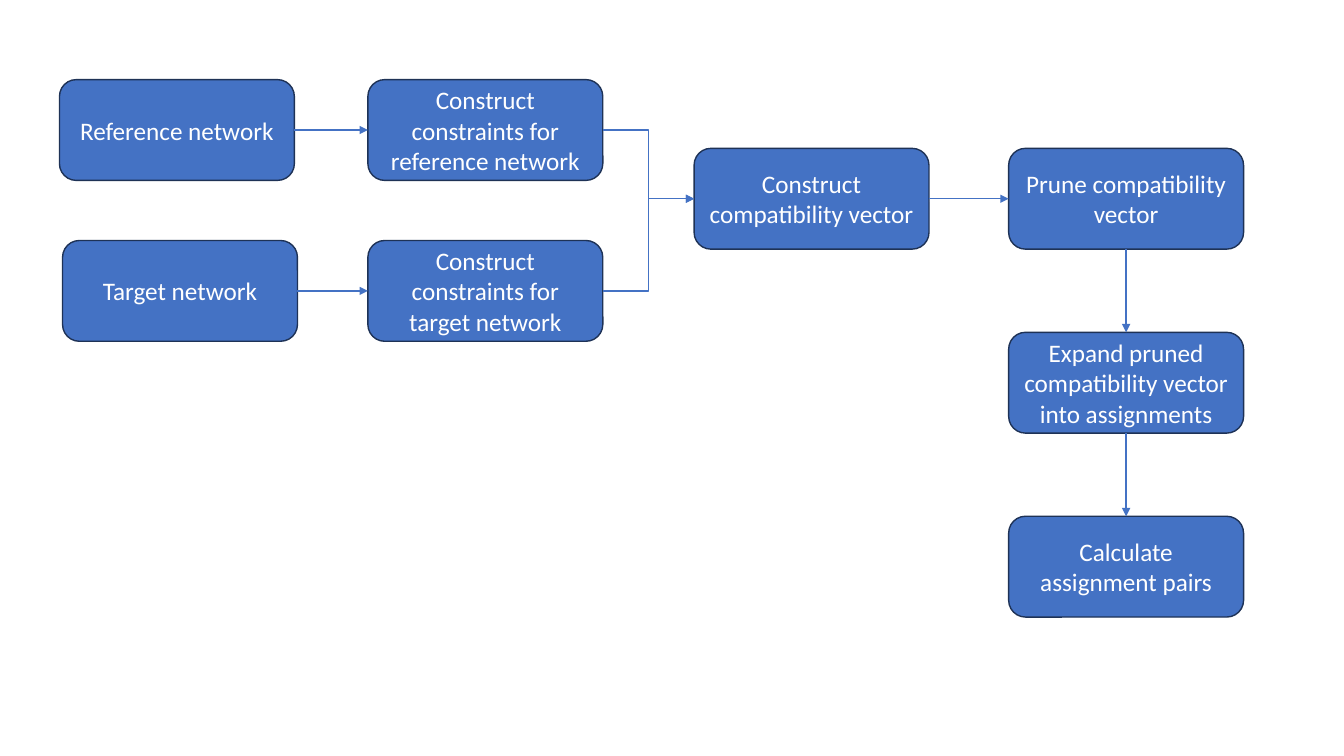
from lxml import etree
from pptx import Presentation
from pptx.dml.color import RGBColor
from pptx.enum.shapes import MSO_CONNECTOR as Connector, MSO_SHAPE as Shape
from pptx.enum.text import MSO_ANCHOR as Anchor, PP_ALIGN as Align
from pptx.oxml.ns import qn
from pptx.util import Pt

BLUE = RGBColor(0x44, 0x72, 0xC4)
NAVY = RGBColor(0x1E, 0x32, 0x56)
WHITE = RGBColor(0xFF, 0xFF, 0xFF)

STEP_WIDTH, STEP_HEIGHT = 167.8, 72
TOP, LEFT, BOTTOM, RIGHT = range(4)  # connection sites of a rounded rectangle


def write_text(box, text, *, size=18, color=WHITE, font="Calibri"):
    frame = box.text_frame
    frame.word_wrap = True
    frame.vertical_anchor = Anchor.MIDDLE
    para = frame.paragraphs[0]
    para.alignment = Align.CENTER
    span = para.add_run()
    span.text = text
    span.font.size = Pt(size)
    span.font.name = font
    span.font.color.rgb = color


def add_step(page, left, top, text):
    box = page.shapes.add_shape(Shape.ROUNDED_RECTANGLE, Pt(left), Pt(top),
                                Pt(STEP_WIDTH), Pt(STEP_HEIGHT))
    box.shadow.inherit = False
    box.fill.solid()
    box.fill.fore_color.rgb = BLUE
    box.line.color.rgb = NAVY
    box.line.width = Pt(1)
    write_text(box, text)
    return box


def add_arrow(page, start, end, kind=Connector.ELBOW, sites=(RIGHT, LEFT)):
    """Join two steps with an arrow glued to the given connection sites."""
    arrow = page.shapes.add_connector(kind, 0, 0, 0, 0)
    arrow.begin_connect(start, sites[0])
    arrow.end_connect(end, sites[1])
    arrow.line.color.rgb = BLUE
    arrow.line.width = Pt(1)
    etree.SubElement(arrow.line._get_or_add_ln(), qn("a:tailEnd"), type="triangle")
    etree.SubElement(arrow._element.spPr, qn("a:effectLst"))


def add_network_row(page, left, top, constraint_left, name):
    """Draw a network and its constraints; return the constraints step."""
    network = add_step(page, left, top, f"{name} network")
    constraints = add_step(page, constraint_left, top,
                           f"Construct constraints for {name.lower()} network")
    add_arrow(page, network, constraints)
    return constraints


def add_vector_column(page, left, top, pitch, texts):
    """Stack steps joined by downward arrows; return the first step."""
    steps = [add_step(page, left, top + row * pitch, text)
             for row, text in enumerate(texts)]
    for upper, lower in zip(steps, steps[1:]):
        add_arrow(page, upper, lower, Connector.STRAIGHT, (BOTTOM, TOP))
    return steps[0]


def main():
    deck = Presentation()
    deck.slide_width, deck.slide_height = Pt(960), Pt(540)
    page = deck.slides.add_slide(deck.slide_layouts[6])

    vector_top = 106
    reference = add_network_row(page, 42.5, 56.9, 262.8, "Reference")
    target = add_network_row(page, 44.7, 171.8, 262.8, "Target")
    compatibility = add_step(page, 495.8, vector_top, "Construct compatibility vector")
    prune = add_vector_column(page, 720.5, vector_top, 131.4, [
        "Prune compatibility vector",
        "Expand pruned compatibility vector into assignments",
        "Calculate assignment pairs",
    ])
    for constraints in (reference, target):
        add_arrow(page, constraints, compatibility)
    add_arrow(page, compatibility, prune)

    deck.save("out.pptx")


if __name__ == "__main__":
    main()
